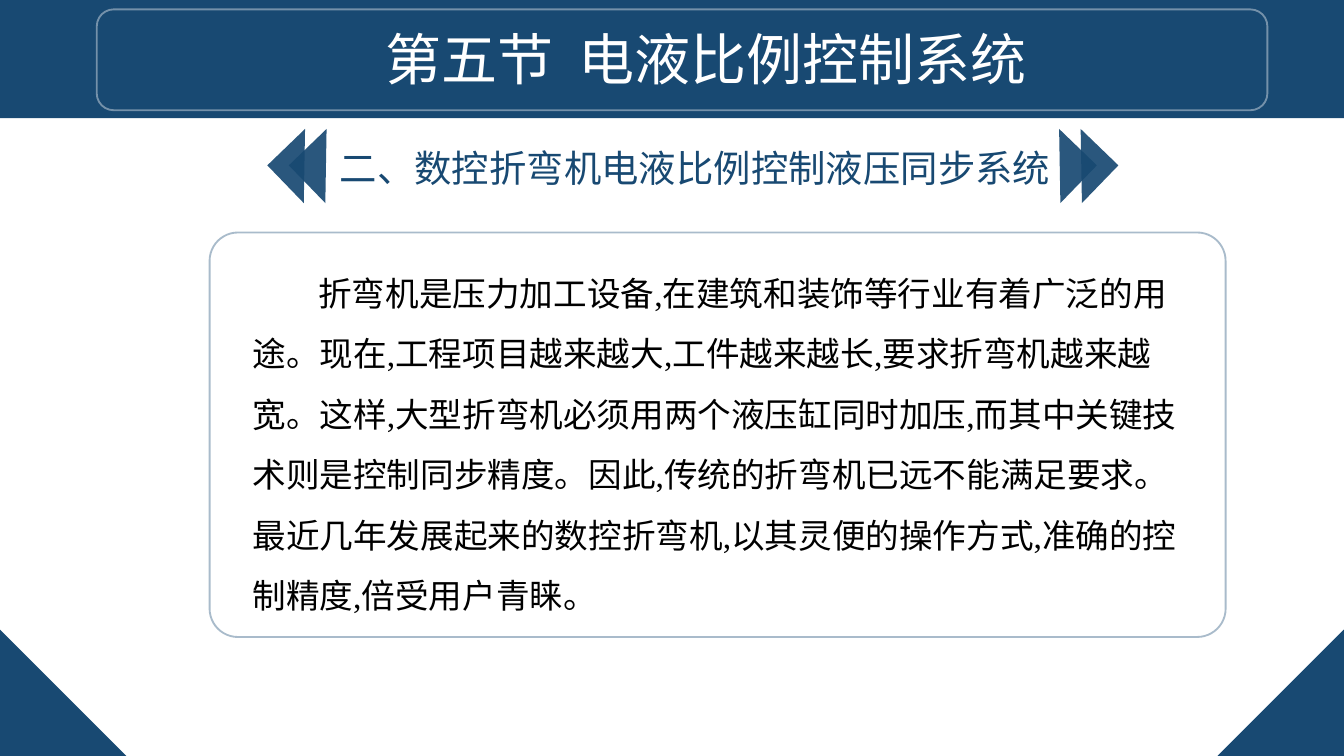
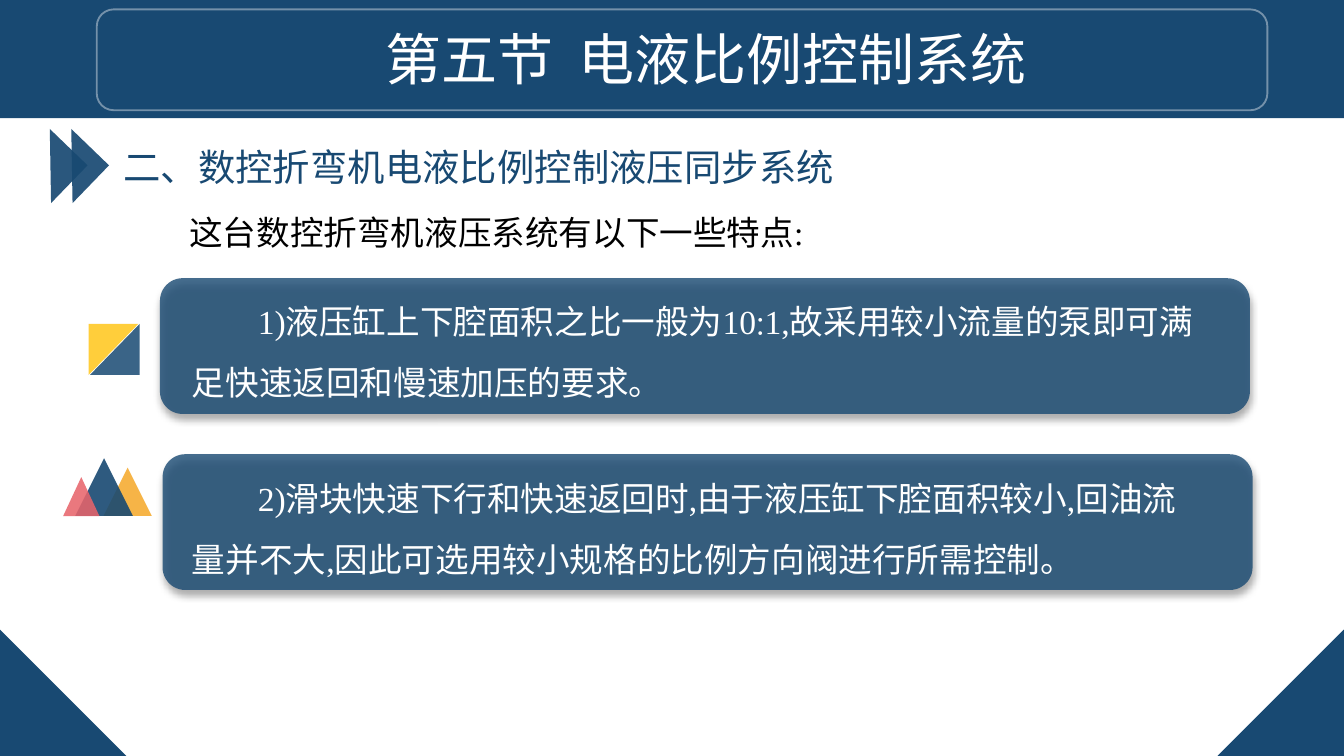
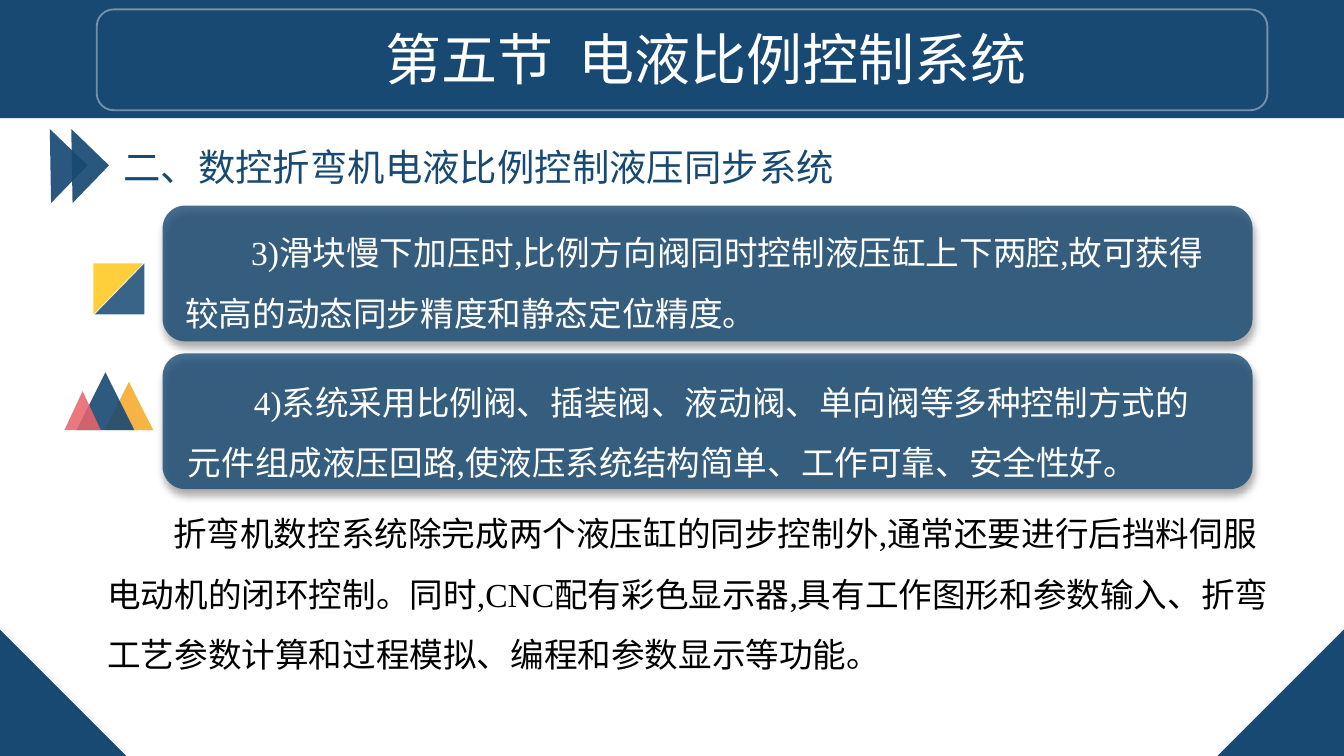
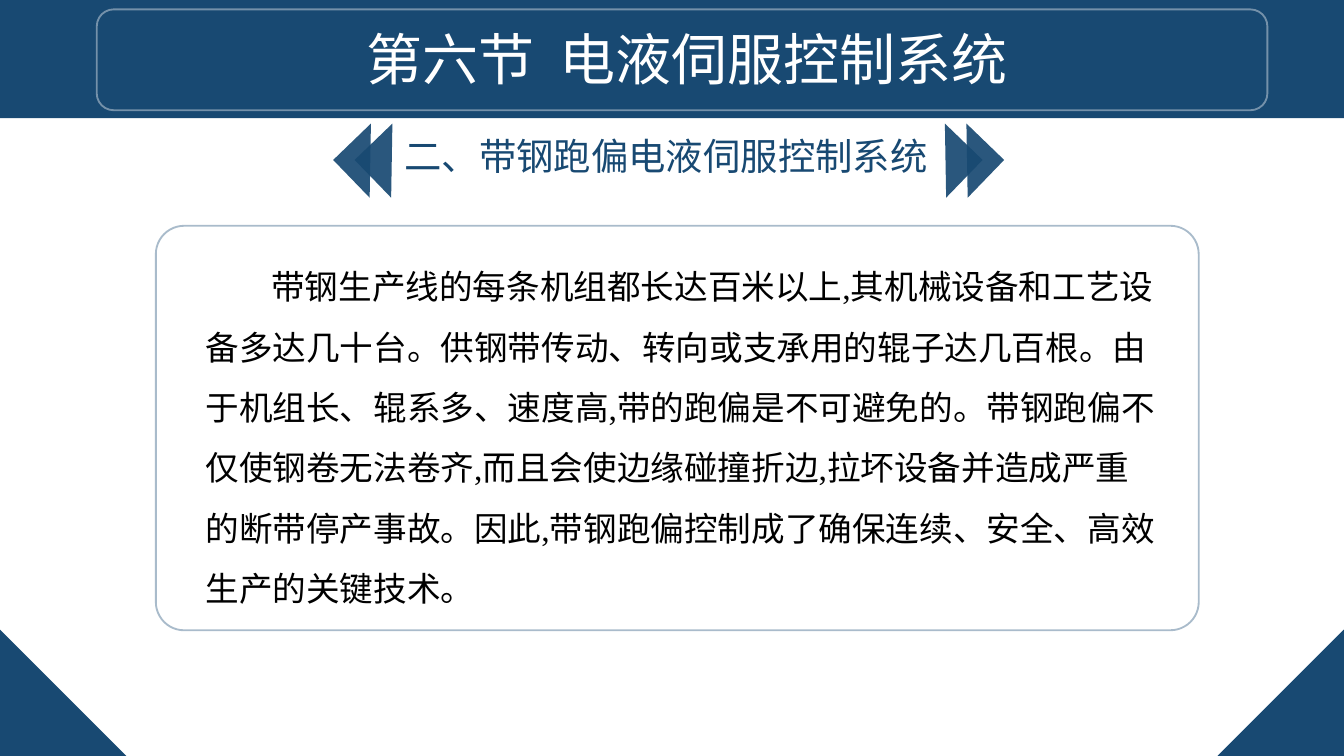
from lxml import etree
from pptx import Presentation
from pptx.dml.color import RGBColor
from pptx.enum.shapes import MSO_SHAPE
from pptx.enum.text import MSO_AUTO_SIZE, PP_ALIGN
from pptx.oxml.ns import qn
from pptx.util import Inches, Pt

RECT = MSO_SHAPE.RECTANGLE
ROUNDED = MSO_SHAPE.ROUNDED_RECTANGLE
CORNER = MSO_SHAPE.RIGHT_TRIANGLE
PEAK = MSO_SHAPE.ISOSCELES_TRIANGLE
LEFT, CENTER = PP_ALIGN.LEFT, PP_ALIGN.CENTER
GROW = MSO_AUTO_SIZE.SHAPE_TO_FIT_TEXT

COLORS = {"navy": "184972", "white": "FFFFFF", "black": "000000",
          "gold": "FFC000", "orange": "F49F14", "rose": "E8646B"}
FONT = "Times New Roman"

prs = Presentation()
prs.slide_width, prs.slide_height = Inches(10), Inches(5.625)
# Square grid: 100 columns by 56.25 rows
COLS, ROWS = 100, 56.25
UNIT = prs.slide_width / COLS


def add_piece(slide, kind, at, color, alpha=100, outlined=False,
              flip="", turn=0, adjust=None, shadow=False):
    """Draw a preset shape, either filled or only outlined."""
    piece = slide.shapes.add_shape(kind, *[round(n * UNIT) for n in at])
    piece.shadow.inherit = False
    piece.rotation = turn
    if adjust is not None:
        piece.adjustments[0] = adjust
    if flip:
        piece.element.spPr.find(qn("a:xfrm")).set("flip" + flip, "1")
    if outlined:
        piece.fill.background()
        piece.line.width = Pt(1)
        paint = piece.line.color
    else:
        piece.fill.solid()
        piece.line.fill.background()
        paint = piece.fill.fore_color
    paint.rgb = RGBColor.from_string(COLORS[color])
    if alpha < 100:
        tone = piece.element.spPr.find(".//" + qn("a:srgbClr"))
        etree.SubElement(tone, qn("a:alpha"), val=str(alpha * 1000))
    if shadow:
        effects = piece.element.spPr.find(qn("a:effectLst"))
        cast = etree.SubElement(effects, qn("a:outerShdw"), blurRad=str(Pt(4)),
                                dist=str(Pt(3)), dir="5400000", rotWithShape="0")
        shade = etree.SubElement(cast, qn("a:srgbClr"), val=COLORS["black"])
        etree.SubElement(shade, qn("a:alpha"), val="40000")


def add_words(slide, words, at, size, color, align=LEFT, body=False, wrap=True):
    """Add a text box; body text has a first-line indent and wide lines."""
    frame = slide.shapes.add_textbox(*[round(n * UNIT) for n in at]).text_frame
    frame.word_wrap = wrap
    frame.auto_size = GROW
    paragraph = frame.paragraphs[0]
    paragraph.alignment = align
    if body:
        paragraph.line_spacing = 1.5
        properties = paragraph._p.get_or_add_pPr()
        properties.set("marL", "0")
        properties.set("indent", str(Inches(0.49)))
    run = paragraph.add_run()
    run.text = words
    run.font.name, run.font.size = FONT, Pt(size)
    run.font.color.rgb = RGBColor.from_string(COLORS[color])


# Content: arrows are (left, top, direction); framed, plain and cards hold texts
SECTION_5 = ("第五节  电液比例控制系统", (10.8, 1.3, 83.5, 11.1))
SECTION_6 = ("第六节  电液伺服控制系统", (9.4, 1.3, 83.5, 16.2))
BENDER = "二、数控折弯机电液比例控制液压同步系统"
pages = [
    {"section": SECTION_5,
     "heading": (BENDER, (24.3, 10.3, 76.1, 4.4)),
     "arrows": [(20.7, 10.4, "left"), (76.9, 10.4, "right")],
     "frame": (15.6, 17.3, 75.6, 30.1),
     "plain": ("折弯机是压力加工设备,在建筑和装饰等行业有着广泛的用途。现在,工程项目越来越大,"
               "工件越来越长,要求折弯机越来越宽。这样,大型折弯机必须用两个液压缸同时加压,"
               "而其中关键技术则是控制同步精度。因此,传统的折弯机已远不能满足要求。"
               "最近几年发展起来的数控折弯机,以其灵便的操作方式,准确的控制精度,倍受用户青睐。",
               (17.8, 18.3, 70.8, 28.3))},
    {"section": SECTION_5,
     "heading": (BENDER, (8.2, 10.2, 76.1, 4.4)),
     "arrows": [(1.8, 10.4, "right")],
     "plain": ("这台数控折弯机液压系统有以下一些特点:", (8.2, 13.8, 74.4, 5)),
     "square": (6.6, 24.1),
     "peaks": (4.7, 34.1),
     "cards": [
         ((11.9, 20.7), "1)液压缸上下腔面积之比一般为10∶1,故采用较小流量的泵即可满足快速返回和"
          "慢速加压的要求。", (13.3, 20.4, 78.4, 9.5)),
         ((12.1, 33.8), "2)滑块快速下行和快速返回时,由于液压缸下腔面积较小,回油流量并不大,"
          "因此可选用较小规格的比例方向阀进行所需控制。", (13.3, 33.6, 77.4, 9.5))]},
    {"section": SECTION_5,
     "heading": (BENDER, (8.2, 10.2, 76.1, 4.4)),
     "arrows": [(1.8, 10.4, "right")],
     "plain": ("折弯机数控系统除完成两个液压缸的同步控制外,通常还要进行后挡料伺服电动机的闭环控制。"
               "同时,CNC配有彩色显示器,具有工作图形和参数输入、折弯工艺参数计算和过程模拟、"
               "编程和参数显示等功能。", (7, 36.2, 88.8, 14.1)),
     "square": (6.95, 19.6),
     "peaks": (4.8, 27.7),
     "cards": [
         ((12.1, 15.3), "3)滑块慢下加压时,比例方向阀同时控制液压缸上下两腔,故可获得较高的"
          "动态同步精度和静态定位精度。", (12.8, 15.3, 79.8, 9.5)),
         ((12.1, 26.3), "4)系统采用比例阀、插装阀、液动阀、单向阀等多种控制方式的元件组成液压回路,"
          "使液压系统结构简单、工作可靠、安全性好。", (13, 26.4, 77.4, 9.5))]},
    {"section": SECTION_6,
     "heading": ("二、带钢跑偏电液伺服控制系统", (29.1, 9.4, 41.3, 4.4)),
     "heading_wrap": False,
     "arrows": [(25.6, 10, "left"), (68.4, 10, "right")],
     "frame": (11.6, 16.8, 77.6, 30.1),
     "plain": ("带钢生产线的每条机组都长达百米以上,其机械设备和工艺设备多达几十台。"
               "供钢带传动、转向或支承用的辊子达几百根。由于机组长、辊系多、速度高,"
               "带的跑偏是不可避免的。带钢跑偏不仅使钢卷无法卷齐,而且会使边缘碰撞折边,"
               "拉坏设备并造成严重的断带停产事故。因此,带钢跑偏控制成了确保连续、安全、"
               "高效生产的关键技术。", (14.3, 17.8, 72.8, 28.3))},
]

CORNER_SIZE = 9.4
ARROW_SIZE, ARROW_STEP = 3.9, 1.6
ARROW_TURNS = {"left": ("", 46), "right": ("H", -46)}
CARD_SIZE = (81.1, 10.1)
SQUARE_SIZE = (3.7, 3.8)
# Peaks: offset from the group's corner, size, colour, opacity
PEAKS = [(3, 0.7, 3.6, 3.6, "orange", 78),
         (0.9, 0, 4.3, 4.3, "navy", 90),
         (0, 1.4, 2.7, 2.9, "rose", 87)]

for page in pages:
    slide = prs.slides.add_slide(prs.slide_layouts[6])

    # Title band and bottom corners
    add_piece(slide, RECT, (0, 0, COLS, 8.8), "navy")
    add_piece(slide, ROUNDED, (7.2, 0.7, 87.1, 7.5), "white", 40, outlined=True)
    section, section_at = page["section"]
    add_words(slide, section, section_at, 30, "white", CENTER)
    for left, flip in ((0, ""), (COLS - CORNER_SIZE, "H")):
        add_piece(slide, CORNER, (left, ROWS - CORNER_SIZE, CORNER_SIZE, CORNER_SIZE),
                  "navy", flip=flip)

    # Heading with double arrows
    heading, heading_at = page["heading"]
    add_words(slide, heading, heading_at, 20, "navy", wrap=page.get("heading_wrap", True))
    for left, top, direction in page["arrows"]:
        flip, turn = ARROW_TURNS[direction]
        for step in range(2):
            add_piece(slide, CORNER, (left + step * ARROW_STEP, top, ARROW_SIZE, ARROW_SIZE),
                      "navy", 92, flip=flip, turn=turn)

    # Numbered cards
    for corner, feature, feature_at in page.get("cards", []):
        add_piece(slide, ROUNDED, corner + CARD_SIZE, "navy", 80, shadow=True)
        add_words(slide, feature, feature_at, 18, "white", body=True)

    # Icons beside the cards
    if "square" in page:
        left, top = page["square"]
        add_piece(slide, PEAK, (left + 0.1, top) + SQUARE_SIZE, "navy", 85, flip="H", adjust=0)
        add_piece(slide, PEAK, (left, top) + SQUARE_SIZE, "gold", 77, flip="V", adjust=0)
    if "peaks" in page:
        left, top = page["peaks"]
        for dx, dy, width, height, color, alpha in PEAKS:
            add_piece(slide, PEAK, (left + dx, top + dy, width, height), color, alpha)

    # Body text and its frame
    passage, passage_at = page["plain"]
    add_words(slide, passage, passage_at, 18, "black", body=True)
    if "frame" in page:
        add_piece(slide, ROUNDED, page["frame"], "navy", 36, outlined=True, adjust=0.07)

prs.save("out.pptx")
